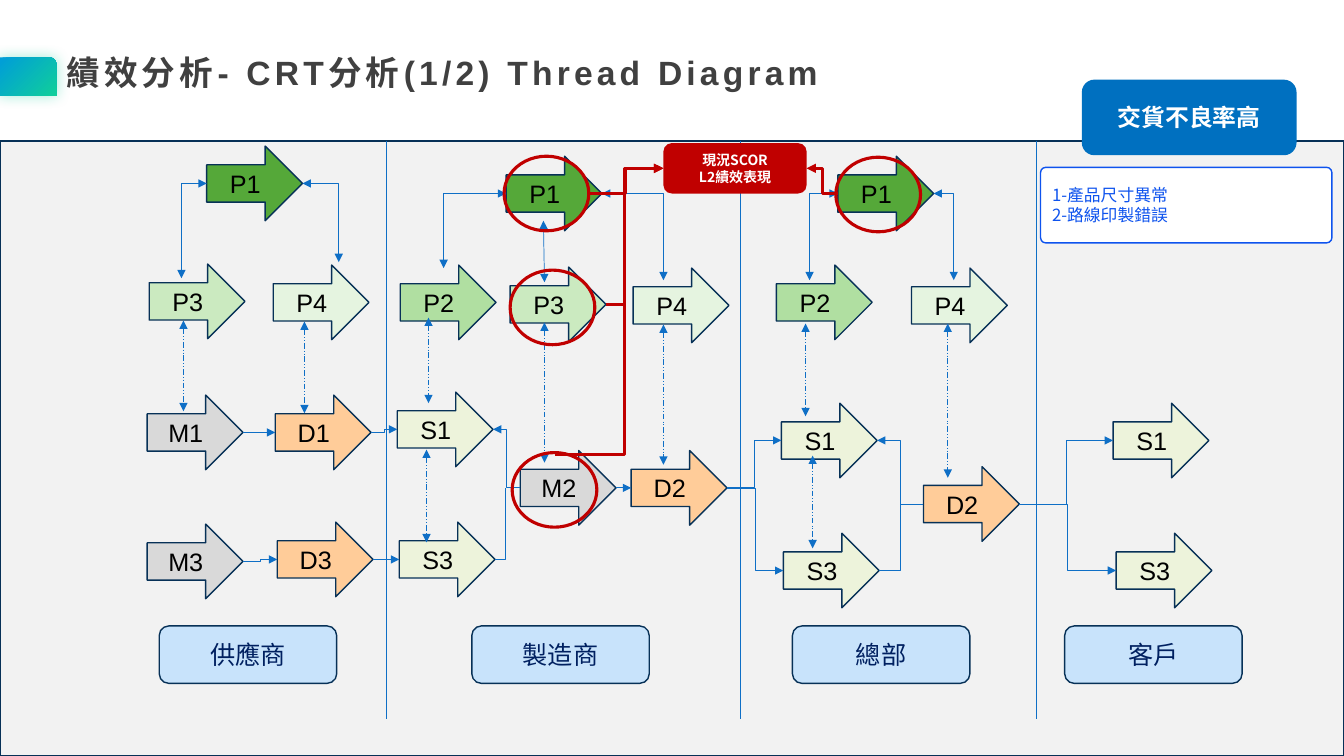
from lxml.etree import SubElement
from pptx import Presentation
from pptx.dml.color import RGBColor
from pptx.enum.dml import MSO_LINE
from pptx.enum.shapes import MSO_CONNECTOR as Connector, MSO_SHAPE as Shape
from pptx.enum.text import MSO_ANCHOR, PP_ALIGN
from pptx.oxml.ns import qn
from pptx.util import Inches, Pt

THEME = {
    "latin": "Arial", "cjk": "Noto Sans CJK SC",
    "title": "404040", "panel": "F2F2F2", "outline": "073157", "link": "0F6FC6",
    "alert": "C00000", "effect": "0070C0", "cause": "0E53EE", "lane": "C8E3FB",
    "lane_text": "002060", "black": "000000", "white": "FFFFFF",
    "accent_start": "10CF9B", "accent_end": "009DD9",
    "title_size": 24, "step_size": 18, "effect_size": 17, "cause_size": 12, "alert_size": 10,
    "thin": 0.5, "normal": 1, "thick": 2.25,
    "steps": {"P1": "55A839", "P2": "B0DFA1", "P3": "CBEAC0", "P4": "E5F4E0",
              "M": "D9D9D9", "D": "FFCC99", "S": "EDF3DB"},
}

presentation = Presentation()
presentation.slide_width = Inches(13.33)
presentation.slide_height = Inches(7.5)
slide = presentation.slides.add_slide(presentation.slide_layouts[6])


def add_block(kind, left, top, width, height, fill=None, line=None, weight=THEME["normal"],
              text="", size=THEME["step_size"], color=THEME["black"], font=THEME["cjk"],
              bold=False, align=PP_ALIGN.CENTER):
    shape = slide.shapes.add_shape(kind, Inches(left), Inches(top), Inches(width), Inches(height))
    shape.shadow.inherit = False
    if fill:
        shape.fill.solid()
        shape.fill.fore_color.rgb = RGBColor.from_string(fill)
    else:
        shape.fill.background()
    if line:
        shape.line.color.rgb = RGBColor.from_string(line)
        shape.line.width = Pt(weight)
    else:
        shape.line.fill.background()
    if text:
        shape.text_frame.text = text
        shape.text_frame.vertical_anchor = MSO_ANCHOR.MIDDLE
        for paragraph in shape.text_frame.paragraphs:
            paragraph.alignment = align
            for run in paragraph.runs:
                run.font.name = font
                run.font.size = Pt(size)
                run.font.bold = bold
                run.font.color.rgb = RGBColor.from_string(color)
                SubElement(run.font._element, qn("a:ea"), typeface=THEME["cjk"])
    return shape


def add_link(start, end, kind=Connector.ELBOW, corner=False, adjust=None, heads=("tail",),
             color=THEME["link"], weight=THEME["thin"], dashed=False):
    connector = slide.shapes.add_connector(kind, *map(Inches, start + end))
    connector.line.color.rgb = RGBColor.from_string(color)
    connector.line.width = Pt(weight)
    if dashed:
        connector.line.dash_style = MSO_LINE.DASH_DOT_DOT
    properties = connector._element.spPr
    for head in heads:
        SubElement(properties.find(qn("a:ln")), qn(f"a:{head}End"), type="triangle")
    SubElement(properties, qn("a:effectLst"))
    geometry = properties.find(qn("a:prstGeom"))
    if corner:
        geometry.set("prst", "bentConnector2")
    if adjust is not None:
        SubElement(geometry.find(qn("a:avLst")), qn("a:gd"), name="adj1",
                   fmla=f"val {round(adjust * 100000)}")
    return connector


accent = add_block(Shape.ROUND_1_RECTANGLE, 0, 0.57, 0.56, 0.38)
accent.fill.gradient()
for stop, name in zip(accent.fill.gradient_stops, ("accent_start", "accent_end")):
    stop.color.rgb = RGBColor.from_string(THEME[name])
gradient = accent._element.spPr.find(qn("a:gradFill"))
gradient.remove(gradient.find(qn("a:lin")))
radial = SubElement(gradient, qn("a:path"), path="circle")
SubElement(radial, qn("a:fillToRect"), l="100000", t="100000")
effects = accent._element.spPr.find(qn("a:effectLst"))
glow = SubElement(effects, qn("a:outerShdw"), blurRad=str(Pt(10)), dist="0")
glow_color = SubElement(glow, qn("a:srgbClr"), val=THEME["accent_start"])
SubElement(glow_color, qn("a:alpha"), val="40000")

title = slide.shapes.add_textbox(Inches(0.56), Inches(0.51), Inches(7.77), Inches(0.5))
title.text_frame.word_wrap = True
title.text_frame.text = "績效分析- CRT分析(1/2) Thread Diagram"
paragraph = title.text_frame.paragraphs[0]
paragraph.line_spacing = 0.9
run = paragraph.runs[0]
run.font.name = THEME["latin"]
run.font.size = Pt(THEME["title_size"])
run.font.bold = True
run.font.color.rgb = RGBColor.from_string(THEME["title"])
run.font._element.set("spc", "300")
SubElement(run.font._element, qn("a:ea"), typeface=THEME["cjk"])

add_block(Shape.RECTANGLE, 0, 1.4, 13.33, 6.1, THEME["panel"], THEME["outline"])
for divider in (3.83, 7.34, 10.28):
    add_link((divider, 1.4), (divider, 7.13), Connector.STRAIGHT, heads=())
for lane, left in (("供應商", 1.58), ("製造商", 4.68), ("總部", 7.86), ("客戶", 10.56)):
    add_block(Shape.ROUNDED_RECTANGLE, left, 6.21, 1.76, 0.57, THEME["lane"], THEME["outline"],
              text=lane, color=THEME["lane_text"])

STEP_WIDTH, STEP_HEIGHT = 0.95, 0.74
steps = {
    "supplier": {"P1": (2.05, 1.45), "P3": (1.48, 2.62), "P4": (2.71, 2.63), "M1": (1.46, 3.92),
                 "D1": (2.73, 3.92), "M3": (1.46, 5.2), "D3": (2.75, 5.18)},
    "maker": {"P1": (5.02, 1.55), "P2": (3.97, 2.63), "P3": (5.06, 2.65), "P4": (6.28, 2.66),
              "S1": (3.94, 3.89), "S3": (3.96, 5.18), "M2": (5.16, 4.47), "D2": (6.26, 4.47)},
    "office": {"P1": (8.31, 1.55), "P2": (7.7, 2.63), "P4": (9.04, 2.66), "S1": (7.75, 4),
               "S3": (7.77, 5.29), "D2": (9.16, 4.63)},
    "client": {"S1": (11.04, 4), "S3": (11.07, 5.29)},
}
tails, tips = {}, {}
for lane, lane_steps in steps.items():
    for code, (left, top) in lane_steps.items():
        fill = THEME["steps"].get(code) or THEME["steps"][code[0]]
        add_block(Shape.RIGHT_ARROW, left, top, STEP_WIDTH, STEP_HEIGHT, fill, THEME["outline"],
                  text=code, font=THEME["latin"])
        tails[lane, code] = (left, top + STEP_HEIGHT / 2)
        tips[lane, code] = (left + STEP_WIDTH, top + STEP_HEIGHT / 2)

flows = [
    (("supplier", "M1"), ("supplier", "D1")), (("supplier", "M3"), ("supplier", "D3")),
    (("supplier", "D1"), ("maker", "S1")), (("supplier", "D3"), ("maker", "S3")),
    (("maker", "M2"), ("maker", "D2")), (("maker", "D2"), ("office", "S1")),
    (("maker", "D2"), ("office", "S3")), (("office", "D2"), ("client", "S1")),
    (("office", "D2"), ("client", "S3")),
]
for source, target in flows:
    level = tips[source][1] == tails[target][1]
    add_link(tips[source], tails[target], Connector.STRAIGHT if level else Connector.ELBOW)

for lane, producer, junction in (("maker", "M2", (5.01, 4.84)), ("office", "D2", (8.93, 5))):
    add_link(tails[lane, producer], tips[lane, "S1"])
    add_link(tips[lane, "S3"], junction, corner=True, heads=())

for lane, left_end, right_end in (("supplier", (1.8, 2.76), (3.36, 2.6)),
                                  ("maker", (4.4, 2.66), (6.58, 2.78)),
                                  ("office", (8.03, 2.78), (9.46, 2.78))):
    add_link(tails[lane, "P1"], left_end, corner=True, heads=("head", "tail"))
    add_link(tips[lane, "P1"], right_end, corner=True, heads=("head", "tail"))
add_link((5.39, 2.19), (5.4, 2.8), Connector.STRAIGHT, heads=("head", "tail"))

for x, top, bottom in ((1.82, 3.18, 4.08), (3.02, 3.19, 4.1), (4.25, 3.15, 4), (5.4, 3.2, 4.59),
                       (6.58, 3.22, 4.61), (7.99, 3.21, 4.13), (9.4, 3.21, 4.74),
                       (4.23, 4.46, 5.38), (8.06, 4.52, 5.44)):
    add_link((x, top), (x, bottom), Connector.STRAIGHT, heads=("head", "tail"), dashed=True)

add_block(Shape.ROUNDED_RECTANGLE, 10.73, 0.79, 2.13, 0.75, THEME["effect"], text="交貨不良率高",
          size=THEME["effect_size"], color=THEME["white"], bold=True)
causes = add_block(Shape.ROUNDED_RECTANGLE, 10.32, 1.66, 2.89, 0.75, THEME["white"], THEME["cause"],
                   text="1-產品尺寸異常\n2-路線印製錯誤", size=THEME["cause_size"],
                   color=THEME["cause"], align=PP_ALIGN.LEFT)
causes.adjustments[0] = 0.07

for left, top in ((5.08, 4.49), (5.06, 2.68), (5, 1.55), (8.29, 1.56)):
    add_block(Shape.OVAL, left, top, 0.84, 0.74, line=THEME["alert"], weight=THEME["thick"])
add_block(Shape.ROUNDED_RECTANGLE, 6.58, 1.42, 1.42, 0.5, THEME["alert"],
          text="現況SCOR\nL2績效表現", size=THEME["alert_size"], color=THEME["white"], bold=True)
alert_style = {"color": THEME["alert"], "weight": THEME["thick"]}
for start, end, adjust, heads in (((5.84, 1.92), (6.58, 1.67), 0.49, ("tail",)),
                                  ((6.01, 3.02), (6.58, 1.67), 0.32, ("tail",)),
                                  ((8.31, 1.92), (8, 1.67), 0.5, ("head", "tail"))):
    add_link(start, end, adjust=adjust, heads=heads[-1:], **alert_style)
add_link((5.5, 4.51), (6.19, 3.01), corner=True, heads=(), **alert_style)

presentation.save("out.pptx")
